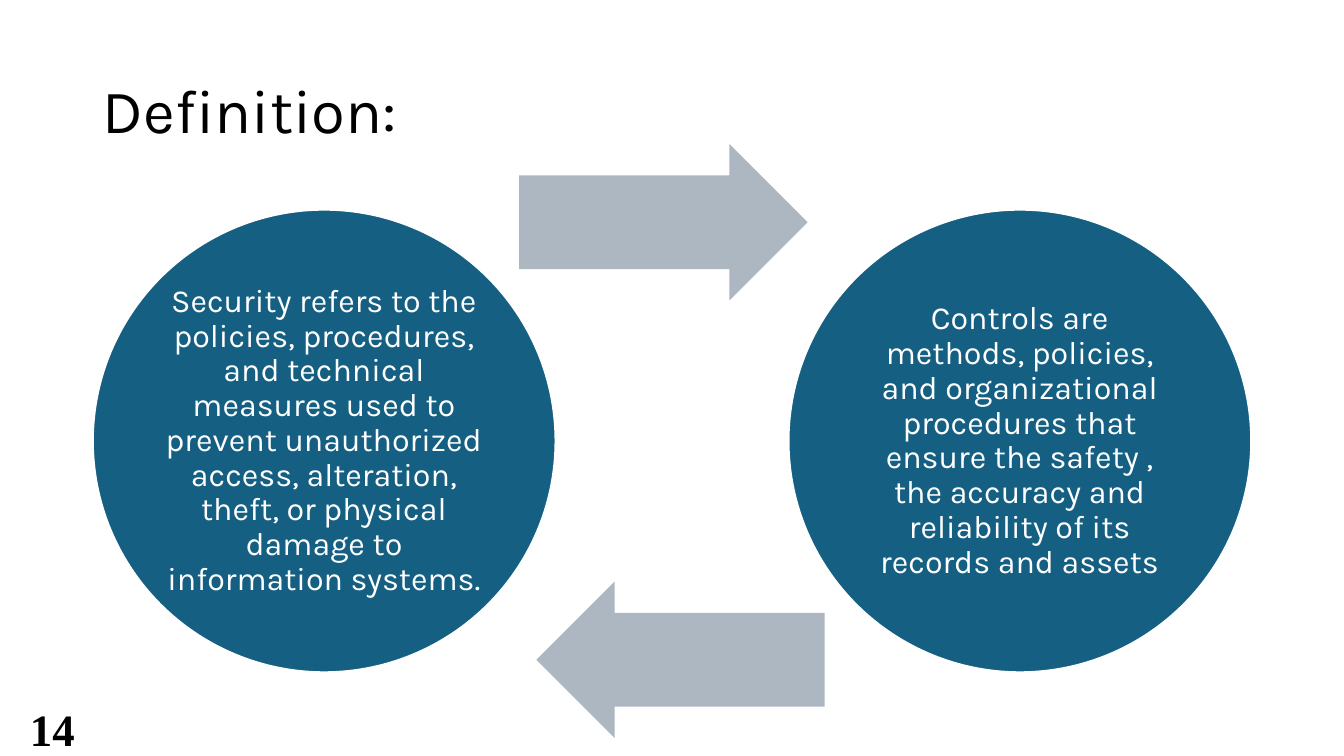
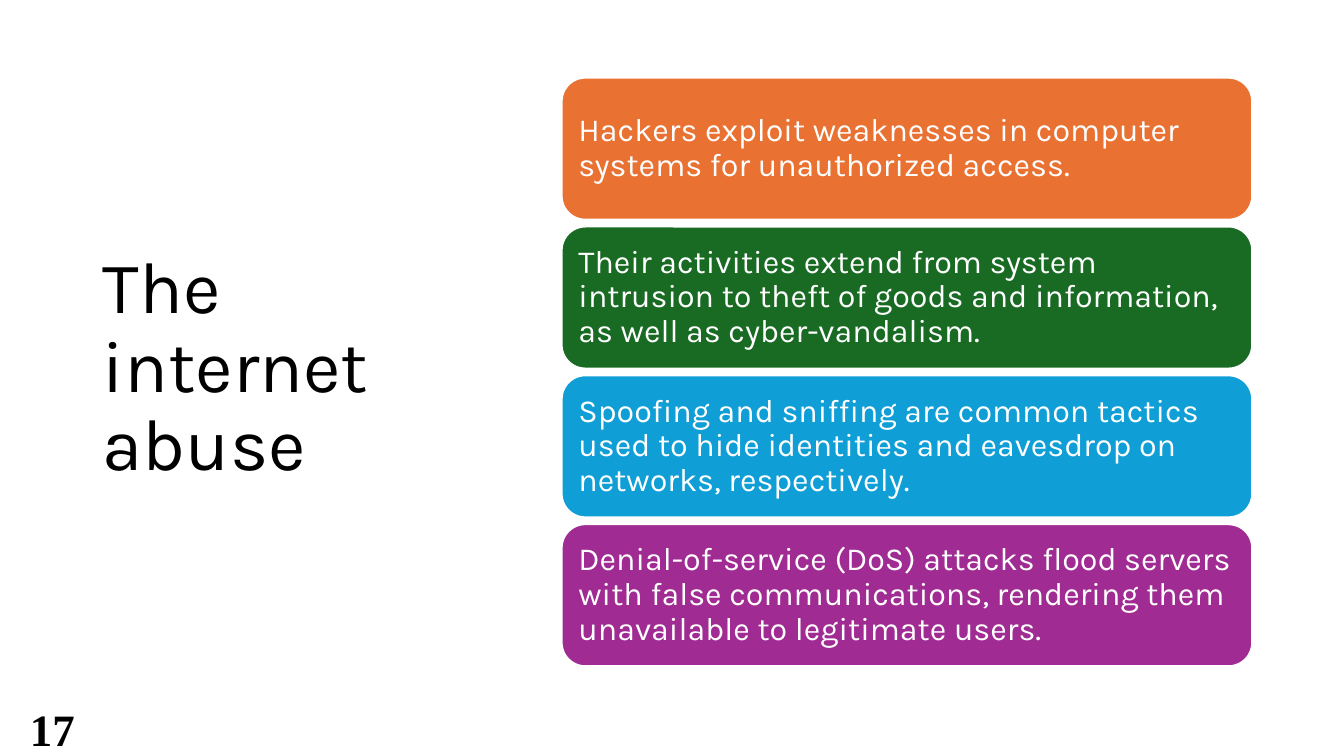
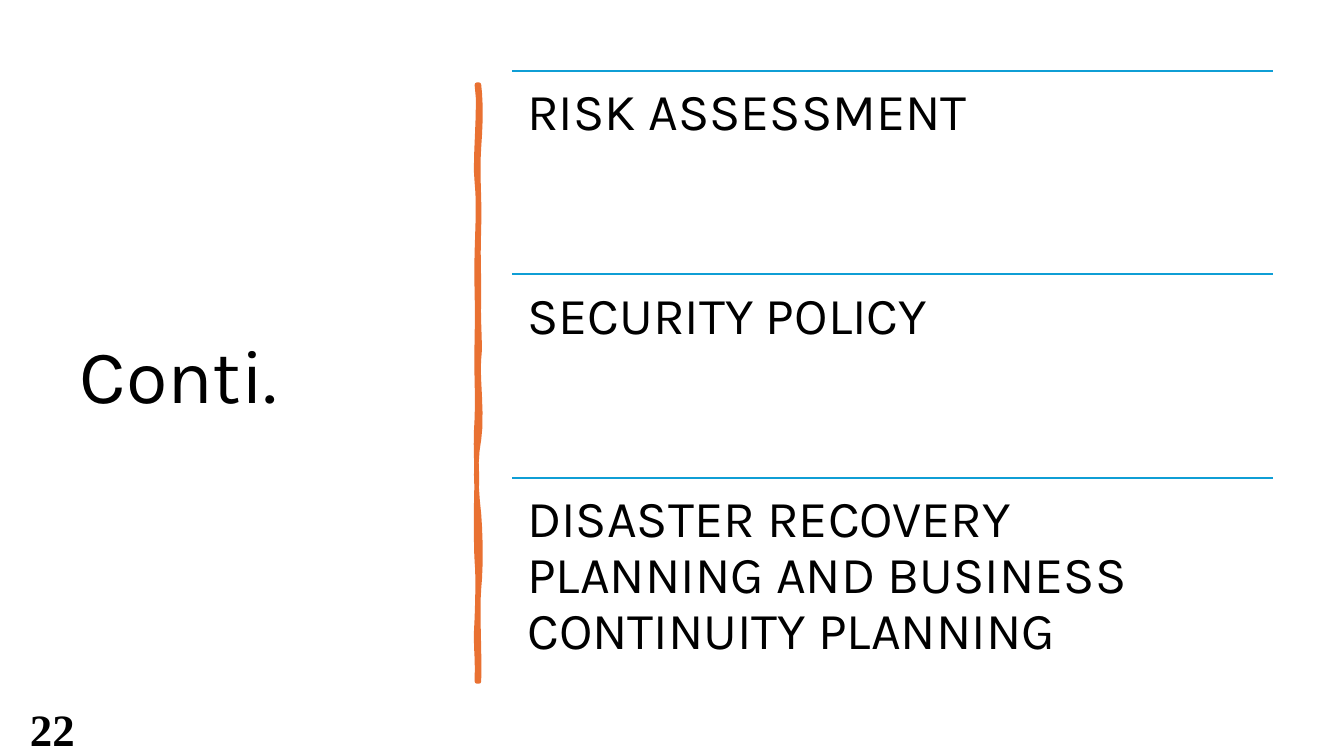
from dataclasses import dataclass

from lxml import etree
from pptx import Presentation
from pptx.dml.color import RGBColor
from pptx.enum.shapes import MSO_CONNECTOR, MSO_SHAPE
from pptx.enum.text import MSO_ANCHOR, MSO_AUTO_SIZE, PP_ALIGN
from pptx.oxml.ns import qn
from pptx.util import Inches, Pt

ELLIPSE = MSO_SHAPE.OVAL
ARROW = MSO_SHAPE.RIGHT_ARROW
ROUNDED = MSO_SHAPE.ROUNDED_RECTANGLE
STRAIGHT = MSO_CONNECTOR.STRAIGHT
LEFT, CENTER = PP_ALIGN.LEFT, PP_ALIGN.CENTER
TOP, MIDDLE = MSO_ANCHOR.TOP, MSO_ANCHOR.MIDDLE
TITLE_ONLY = 5


@dataclass(frozen=True)
class Theme:
    font: str = "Karla"
    number_font: str = "Times New Roman"
    black: str = "000000"
    white: str = "FFFFFF"
    teal: str = "156082"
    gray: str = "ACB7C1"
    orange: str = "E97132"
    green: str = "196B24"
    blue: str = "0F9ED5"
    purple: str = "A02B93"
    body_size: int = 23
    topic_size: int = 37
    number_size: int = 32
    outline: float = 1.5
    brush: float = 3.25
    line_spacing: float = 0.9


THEME = Theme()

# Brush stroke edges as cubic curves: two control points and an end point
BRUSH_START = (4.75, 0.84)
BRUSH_CURVES = [
    # right edge, downwards
    (4.77, 1.02, 4.77, 1.19, 4.75, 1.46),
    (4.73, 1.73, 4.76, 1.95, 4.75, 2.26),
    (4.74, 2.57, 4.75, 2.62, 4.75, 2.94),
    (4.74, 3.25, 4.77, 3.42, 4.75, 3.56),
    (4.73, 3.70, 4.79, 4.14, 4.75, 4.36),
    (4.71, 4.57, 4.72, 4.84, 4.75, 5.10),
    (4.77, 5.36, 4.77, 5.64, 4.75, 5.84),
    (4.73, 6.03, 4.76, 6.50, 4.75, 6.76),
    (4.74, 6.76, 4.73, 6.76, 4.73, 6.76),
    # left edge, upwards
    (4.74, 6.46, 4.71, 6.44, 4.73, 6.13),
    (4.74, 5.83, 4.74, 5.70, 4.73, 5.57),
    (4.72, 5.44, 4.72, 4.95, 4.73, 4.77),
    (4.73, 4.59, 4.71, 4.45, 4.73, 4.15),
    (4.74, 3.86, 4.72, 3.73, 4.73, 3.35),
    (4.74, 2.98, 4.72, 2.81, 4.73, 2.50),
    (4.74, 2.18, 4.75, 2.00, 4.73, 1.81),
    (4.70, 1.63, 4.77, 1.04, 4.73, 0.84),
]


def color(value):
    return RGBColor.from_string(value)


def write(shape, text, size, text_color, align=LEFT, anchor=MIDDLE, inset=0.1,
          font=THEME.font, spacing=THEME.line_spacing, bold=False):
    """Put one formatted paragraph into a shape."""
    frame = shape.text_frame
    frame.text = text
    frame.word_wrap = True
    frame.auto_size = MSO_AUTO_SIZE.NONE
    frame.vertical_anchor = anchor
    frame.margin_left = frame.margin_right = Inches(inset)
    frame.margin_top = frame.margin_bottom = Inches(min(inset, 0.15))
    paragraph = frame.paragraphs[0]
    paragraph.alignment = align
    paragraph.line_spacing = spacing
    paragraph.font.name = font
    paragraph.font.size = Pt(size)
    paragraph.font.bold = bold
    paragraph.font.color.rgb = color(text_color)


def paint(shape, fill, line=None, width=THEME.outline):
    """Give a shape a flat fill and an optional outline."""
    shape.shadow.inherit = False
    shape.fill.solid()
    shape.fill.fore_color.rgb = color(fill)
    if line:
        shape.line.color.rgb = color(line)
        shape.line.width = Pt(width)
    else:
        shape.line.fill.background()


def add_text(slide, box, text, size, **style):
    shape = slide.shapes.add_textbox(*map(Inches, box))
    write(shape, text, size, THEME.black, **style)


def add_shape(slide, kind, box, fill, line=None):
    shape = slide.shapes.add_shape(kind, *map(Inches, box))
    paint(shape, fill, line)
    return shape


def add_arrow(slide, left, top, rotation=0):
    arrow = add_shape(slide, ARROW, (left, top, 2.86, 1.55), THEME.gray)
    arrow.adjustments[0], arrow.adjustments[1] = 0.6, 0.5
    arrow.rotation = rotation


def add_rule(slide, left, top, width):
    rule = slide.shapes.add_connector(
        STRAIGHT, *map(Inches, (left, top, left + width, top)))
    rule.line.color.rgb = color(THEME.blue)
    rule.line.width = Pt(THEME.outline)
    etree.SubElement(rule._element.spPr, qn("a:effectLst"))


def add_brush_stroke(slide, steps=6):
    """Trace the wavy vertical stroke along its curves."""
    points, (x0, y0) = [], BRUSH_START
    for x1, y1, x2, y2, x3, y3 in BRUSH_CURVES:
        for step in range(1, steps + 1):
            t = step / steps
            u = 1 - t
            weights = (u ** 3, 3 * u * u * t, 3 * u * t * t, t ** 3)
            points.append(tuple(
                Inches(sum(w * c for w, c in zip(weights, axis)))
                for axis in ((x0, x1, x2, x3), (y0, y1, y2, y3))))
        x0, y0 = x3, y3
    builder = slide.shapes.build_freeform(*map(Inches, BRUSH_START))
    builder.add_line_segments(points, close=True)
    stroke = builder.convert_to_shape()
    paint(stroke, THEME.orange, THEME.orange, THEME.brush)
    etree.SubElement(stroke.line._get_or_add_ln(), qn("a:round"))


def add_slide(presentation, title, title_box, title_size, number):
    """Start a slide with its title and slide number."""
    layout = presentation.slide_layouts[TITLE_ONLY]
    slide = presentation.slides.add_slide(layout)
    heading = slide.shapes.title
    heading.left, heading.top, heading.width, heading.height = map(
        Inches, title_box)
    write(heading, title, title_size, THEME.black)
    add_text(slide, (0.07, 6.86, 0.9, 0.64), number, THEME.number_size,
             align=CENTER, anchor=TOP, font=THEME.number_font,
             spacing=1.0, bold=True)
    return slide


def build_definition(presentation):
    slide = add_slide(presentation, "Definition:", (0.92, 0.4, 11.5, 1.45),
                      44, "14")
    definitions = [
        (0.92, "Security refers to the policies, procedures, and technical "
               "measures used to prevent unauthorized access, alteration, "
               "theft, or physical damage to information systems."),
        (7.82, "Controls are methods, policies, and organizational "
               "procedures that ensure the safety , the accuracy and "
               "reliability of its records and assets"),
    ]
    for left, text in definitions:
        circle = add_shape(slide, ELLIPSE, (left, 2.08, 4.59, 4.59),
                           THEME.teal, THEME.white)
        write(circle, text, THEME.body_size, THEME.white, CENTER, inset=0.03)
    add_arrow(slide, 5.15, 1.43)
    add_arrow(slide, 5.32, 5.77, rotation=180)


def build_internet_abuse(presentation):
    slide = add_slide(presentation, "The internet abuse",
                      (0.92, 0.61, 3.69, 6.09), 52, "17")
    cards = [
        (THEME.orange, "Hackers exploit weaknesses in computer systems for "
                       "unauthorized access."),
        (THEME.green, "Their activities extend from system intrusion to "
                      "theft of goods and information, as well as "
                      "cyber-vandalism."),
        (THEME.blue, "Spoofing and sniffing are common tactics used to hide "
                     "identities and eavesdrop on networks, respectively."),
        (THEME.purple, "Denial-of-service (DoS) attacks flood servers with "
                       "false communications, rendering them unavailable to "
                       "legitimate users."),
    ]
    first_top, last_top = 0.77, 5.2
    pitch = (last_top - first_top) / (len(cards) - 1)
    for index, (fill, text) in enumerate(cards):
        card = add_shape(slide, ROUNDED,
                         (5.57, first_top + index * pitch, 6.85, 1.41),
                         fill, THEME.white)
        write(card, text, THEME.body_size, THEME.white)


def build_topics(presentation):
    slide = add_slide(presentation, "Conti.", (0.69, 0.7, 3.74, 6.11),
                      54, "22")
    add_brush_stroke(slide)
    topics = [
        "RISK ASSESSMENT",
        "SECURITY POLICY",
        "DISASTER RECOVERY PLANNING AND BUSINESS CONTINUITY PLANNING",
    ]
    left, width, height = 5.08, 7.55, 2.02
    for index, topic in enumerate(topics):
        top = 0.7 + index * height
        add_rule(slide, left, top, width)
        add_text(slide, (left, top, width, height), topic, THEME.topic_size,
                 anchor=TOP, inset=0.15)


def main():
    presentation = Presentation()
    presentation.slide_width = Inches(13.33)
    presentation.slide_height = Inches(7.5)
    build_definition(presentation)
    build_internet_abuse(presentation)
    build_topics(presentation)
    presentation.save("out.pptx")


if __name__ == "__main__":
    main()
